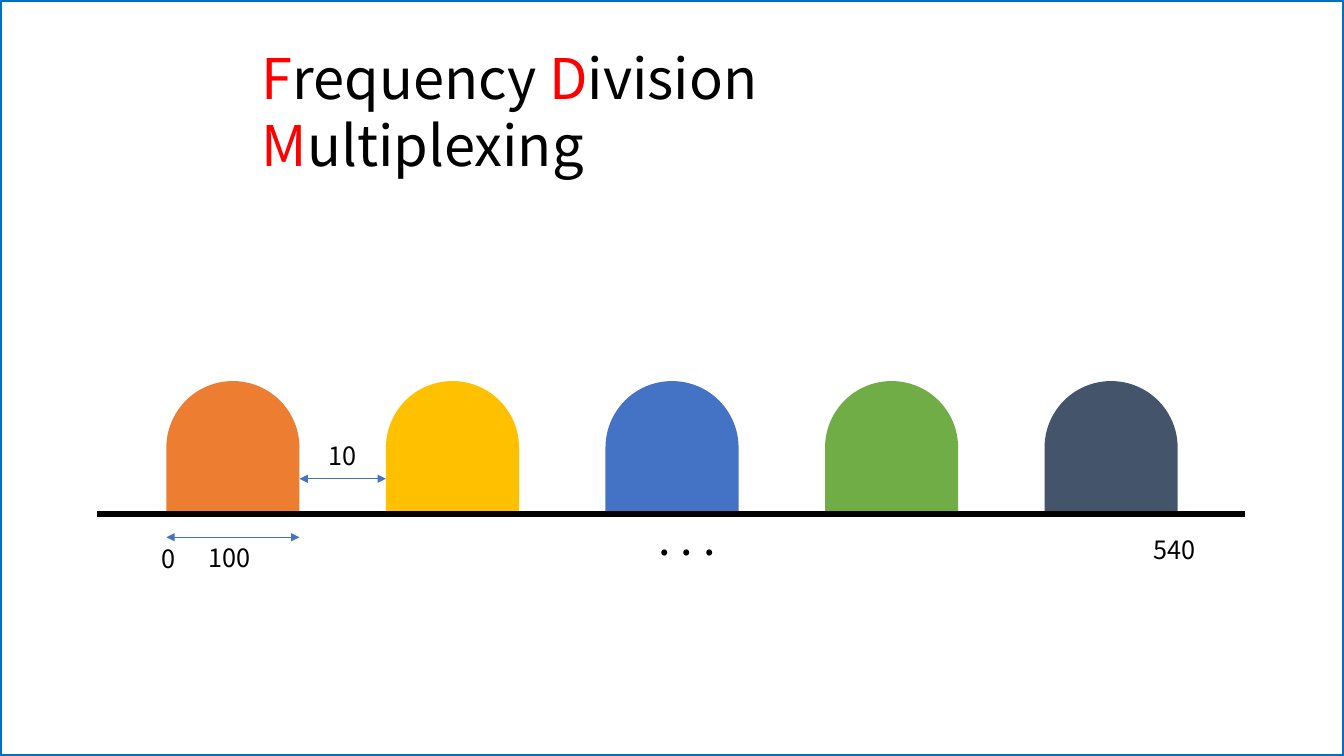
from dataclasses import dataclass

from lxml import etree
from pptx import Presentation
from pptx.dml.color import RGBColor
from pptx.enum.shapes import MSO_CONNECTOR, MSO_SHAPE
from pptx.oxml.ns import qn
from pptx.util import Inches, Pt

DELAY, RECT = MSO_SHAPE.FLOWCHART_DELAY, MSO_SHAPE.RECTANGLE
STRAIGHT = MSO_CONNECTOR.STRAIGHT
FONT = "Noto Sans CJK KR"
BLACK, RED, BLUE, BORDER = "000000", "FF0000", "4472C4", "0070C0"
CHANNELS = ["ED7D31", "FFC000", BLUE, "70AD47", "44546A"]
WIDTH, HEIGHT = 13.33, 7.5

# Channel grid: every column is one band followed by a guard gap.
LEFT, BAND, PITCH, AXIS_Y = 1.65, 1.32, 2.1775, 5.1


@dataclass
class Label:
    """A text box: coloured runs and its place in inches."""
    runs: list[tuple[str, str]]
    x: float
    y: float
    w: float
    h: float = 0.4
    size: float = 18


@dataclass
class Rule:
    """A horizontal line, with arrowheads at both ends if asked."""
    x1: float
    x2: float
    y: float
    color: str = BLUE
    width: float = 0.5
    arrows: bool = True


def rgb(color: str) -> RGBColor:
    """Turn a hex string into a colour."""
    return RGBColor.from_string(color)


def column(i: int) -> float:
    """Return the left edge of channel i."""
    return LEFT + i * PITCH


def add_channel(slide, i: int, color: str) -> None:
    """Draw channel i standing on the axis."""
    box = [Inches(v) for v in (column(i), AXIS_Y - BAND, BAND, BAND)]
    sp = slide.shapes.add_shape(DELAY, *box)
    sp.rotation = 270
    sp.shadow.inherit = False
    sp.fill.solid()
    sp.fill.fore_color.rgb = rgb(color)
    sp.line.fill.background()


def add_border(slide) -> None:
    """Frame the whole slide."""
    sp = slide.shapes.add_shape(RECT, 0, 0, Inches(WIDTH), Inches(HEIGHT))
    sp.shadow.inherit = False
    sp.fill.background()
    sp.line.color.rgb = rgb(BORDER)
    sp.line.width = Pt(3)


def add_rule(slide, rule: Rule) -> None:
    """Draw a horizontal line or double arrow."""
    ends = [Inches(v) for v in (rule.x1, rule.y, rule.x2, rule.y)]
    line = slide.shapes.add_connector(STRAIGHT, *ends)
    line.line.color.rgb = rgb(rule.color)
    line.line.width = Pt(rule.width)
    if rule.arrows:
        ln = line.line._get_or_add_ln()
        for end in ("a:headEnd", "a:tailEnd"):
            etree.SubElement(ln, qn(end), type="triangle")
    etree.SubElement(line._element.spPr, qn("a:effectLst"))


def add_label(slide, label: Label) -> None:
    """Write a label as one paragraph of coloured runs."""
    box = [Inches(v) for v in (label.x, label.y, label.w, label.h)]
    tf = slide.shapes.add_textbox(*box).text_frame
    tf.word_wrap = True
    p = tf.paragraphs[0]
    for text, color in label.runs:
        r = p.add_run()
        r.text = text
        for name, value in {"name": FONT, "size": Pt(label.size)}.items():
            setattr(r.font, name, value)
        r.font.color.rgb = rgb(color)


TITLE = [("F", RED), ("requency ", BLACK), ("D", RED), ("ivision ", BLACK),
         ("M", RED), ("ultiplexing", BLACK)]
RULES = [
    Rule(0.96, 12.35, AXIS_Y, BLACK, 4.5, False),
    Rule(LEFT + BAND, column(1), 4.75),
    Rule(LEFT, LEFT + BAND, 5.33),
]
LABELS = [
    Label(TITLE, 2.5, 0.38, 8.1, 0.77, 40),
    Label([("0", BLACK)], 1.5, 5.34, 0.33),
    Label([("100", BLACK)], 1.97, 5.33, 0.68),
    Label([("10", BLACK)], 3.16, 4.32, 0.68),
    Label([(". . .", BLACK)], 6.43, 5.02, 1.57, 0.64, 32),
    Label([("540", BLACK)], 11.34, 5.25, 0.68),
]


def main() -> None:
    """Build the slide and save it."""
    prs = Presentation()
    prs.slide_width, prs.slide_height = Inches(WIDTH), Inches(HEIGHT)
    slide = prs.slides.add_slide(prs.slide_layouts[6])
    for i, color in enumerate(CHANNELS):
        add_channel(slide, i, color)
    add_border(slide)
    for rule in RULES:
        add_rule(slide, rule)
    for label in LABELS:
        add_label(slide, label)
    prs.save("out.pptx")


main()
